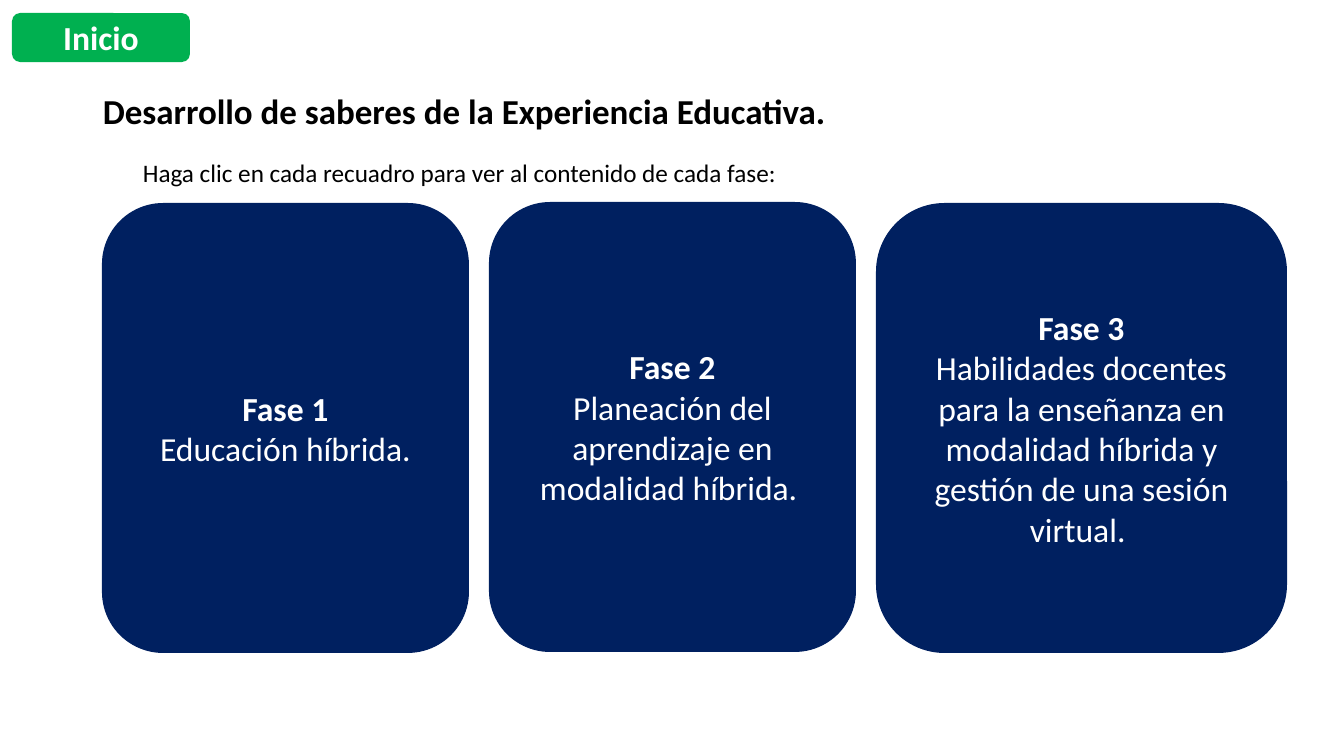
"""Build the slide that presents the three phases of the course."""
import pptx
import pptx.util
import pptx.dml.color
import pptx.enum.shapes
import pptx.enum.text

PX = 914400 / 100.8
FONT = "Calibri"
COLORS = {"black": "000000", "white": "FFFFFF", "green": "00B050", "navy": "002060"}

TITLE = "Desarrollo de saberes de la Experiencia Educativa."
HINT = "Haga clic en cada recuadro para ver al contenido de cada fase:"
HOME = "Inicio"
PHASES = [
    {"name": "Fase 1", "topic": "Educación híbrida.", "top": 203, "width": 367},
    {"name": "Fase 2", "topic": "Planeación del aprendizaje en modalidad híbrida. ",
     "top": 202, "width": 367},
    {"name": "Fase 3", "topic": "Habilidades docentes para la enseñanza en modalidad "
     "híbrida y gestión de una sesión virtual. ", "top": 203, "width": 411},
]
PHASES_LEFT, PHASE_HEIGHT, PHASE_GAP = 102, 450, 20

ALIGN = pptx.enum.text.PP_ALIGN
ANCHOR = pptx.enum.text.MSO_ANCHOR


def emu(*lengths):
    return [pptx.util.Emu(round(length * PX)) for length in lengths]


def rgb(name):
    return pptx.dml.color.RGBColor.from_string(COLORS[name])


def write(frame, lines, size, color, align, anchor):
    frame.word_wrap = True
    frame.vertical_anchor = anchor
    for index, (text, bold) in enumerate(lines):
        line = frame.paragraphs[0] if index == 0 else frame.add_paragraph()
        line.text = text
        line.alignment = align
        line.font.name = FONT
        line.font.size = pptx.util.Pt(size)
        line.font.bold = bold
        line.font.color.rgb = rgb(color)


def add_label(slide, box, text, size, bold, anchor):
    frame = slide.shapes.add_textbox(*emu(*box)).text_frame
    write(frame, [(text, bold)], size, "black", ALIGN.LEFT, anchor)
    return frame


def add_button(slide, box, fill, lines):
    button = slide.shapes.add_shape(
        pptx.enum.shapes.MSO_SHAPE.ROUNDED_RECTANGLE, *emu(*box))
    button.shadow.inherit = False
    button.fill.solid()
    button.fill.fore_color.rgb = rgb(fill)
    button.line.fill.background()
    write(button.text_frame, lines, 24, "white", ALIGN.CENTER, ANCHOR.MIDDLE)


def main():
    deck = pptx.Presentation()
    deck.slide_width, deck.slide_height = emu(1344, 756)
    slide = deck.slides.add_slide(deck.slide_layouts[6])

    title = add_label(slide, (93, 40, 1159, 146), TITLE, 25, True, ANCHOR.MIDDLE)
    title.paragraphs[0].line_spacing = 0.9
    add_button(slide, (12, 13, 178, 49), "green", [(HOME, True)])

    left = PHASES_LEFT
    for phase in PHASES:
        add_button(slide, (left, phase["top"], phase["width"], PHASE_HEIGHT), "navy",
                   [(phase["name"], True), (phase["topic"], False)])
        left += phase["width"] + PHASE_GAP

    add_label(slide, (133, 152, 826, 40), HINT, 18, False, ANCHOR.TOP)
    deck.save("out.pptx")


if __name__ == "__main__":
    main()
